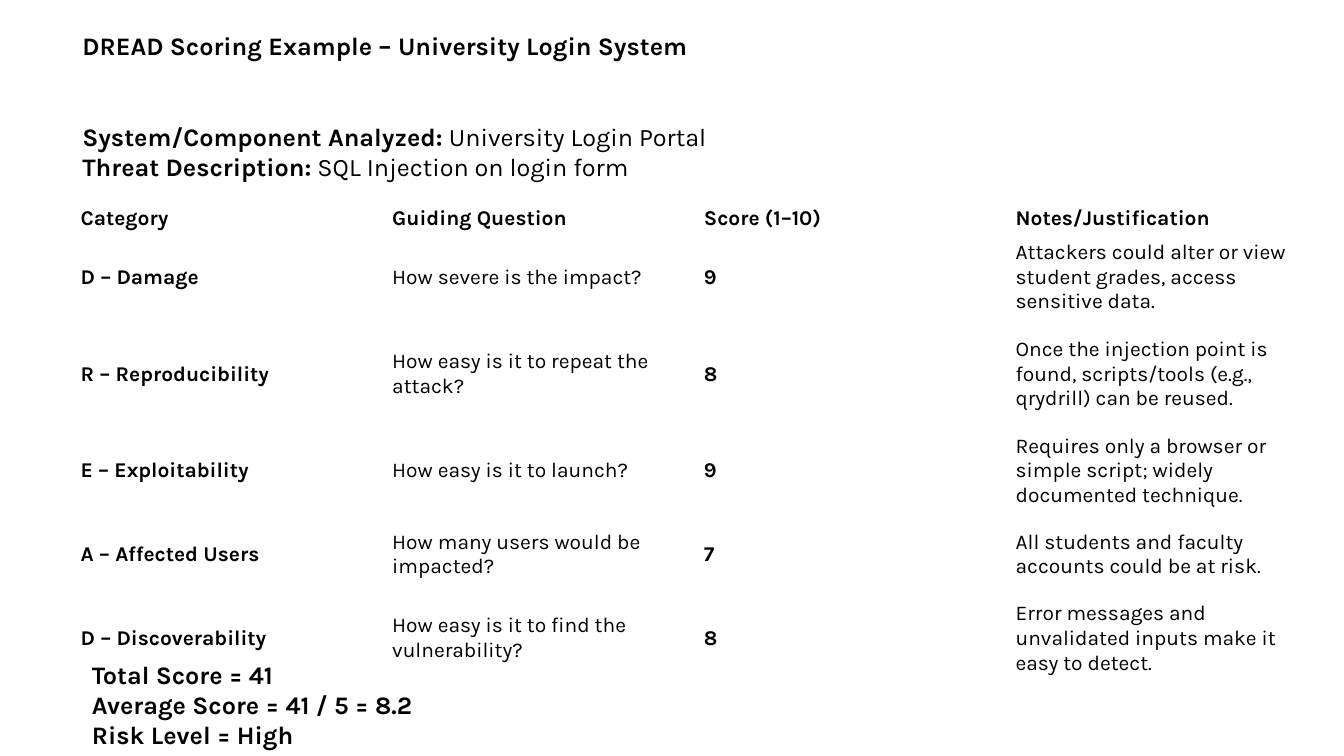
from dataclasses import dataclass
from typing import NamedTuple

from lxml.etree import SubElement
from pptx import Presentation
from pptx.dml.color import RGBColor
from pptx.enum.text import MSO_ANCHOR as Anchor, MSO_AUTO_SIZE as AutoSize, PP_ALIGN as Align
from pptx.oxml.ns import qn
from pptx.util import Cm, Pt


@dataclass(frozen=True)
class Theme:
    font: str = "Karla"
    ink: RGBColor = RGBColor(0, 0, 0)
    paper: RGBColor = RGBColor(255, 255, 255)
    heading_size: int = 18
    table_size: int = 15
    plain_table_style: str = "{2D5ABB26-0587-4C30-8999-92F81FD0307C}"


class Area(NamedTuple):
    left: float
    top: float
    width: float
    height: float


class Threat(NamedTuple):
    category: str
    question: str
    score: int
    notes: str
    row_height: float = 2.11


class Line(NamedTuple):
    strong: str
    plain: str = ""


THEME = Theme()
TITLE_AREA = Area(1.82, 0.64, 29.44, 1.1)
SUBJECT_AREA = Area(1.82, 2.92, 29.44, 1.8)
TOTALS_AREA = Area(2.06, 16.48, 16.94, 2.57)
TABLE_AREA = Area(1.83, 5.08, 31.42, 12.09)
HEADER_HEIGHT = 0.85
HEADERS = ("Category", "Guiding Question", "Score (1–10)", "Notes/Justification")
BOLD_COLUMNS = (0, 2)

TITLE = [Line("DREAD Scoring Example – University Login System")]
SUBJECT = [
    Line("System/Component Analyzed:", " University Login Portal"),
    Line("Threat Description:", " SQL Injection on login form"),
]
TOTALS = [
    Line("Total Score = 41"),
    Line("Average Score = 41 / 5 = 8.2"),
    Line("Risk Level = High"),
]
THREATS = [
    Threat("D – Damage", "How severe is the impact?", 9,
           "Attackers could alter or view student grades, access sensitive data."),
    Threat("R – Reproducibility", "How easy is it to repeat the attack?", 8,
           "Once the injection point is found, scripts/tools (e.g., qrydrill) can be reused.", 2.77),
    Threat("E – Exploitability", "How easy is it to launch?", 9,
           "Requires only a browser or simple script; widely documented technique."),
    Threat("A – Affected Users", "How many users would be impacted?", 7,
           "All students and faculty accounts could be at risk."),
    Threat("D – Discoverability", "How easy is it to find the vulnerability?", 8,
           "Error messages and unvalidated inputs make it easy to detect."),
]


def add_text(para, text: str, *, size: int = THEME.heading_size, bold: bool = False) -> None:
    span = para.add_run()
    span.text = text
    span.font.name = THEME.font
    span.font.size = Pt(size)
    span.font.bold = bold
    span.font.color.rgb = THEME.ink


def fill_placeholder(box, area: Area, lines: list[Line]) -> None:
    box.left, box.top, box.width, box.height = map(Cm, area)
    frame = box.text_frame
    frame.word_wrap = True
    frame.auto_size = AutoSize.NONE
    frame.vertical_anchor = Anchor.TOP
    for index, line in enumerate(lines):
        para = frame.add_paragraph() if index else frame.paragraphs[0]
        para.alignment = Align.LEFT
        para.space_before = Pt(0)
        properties = para._p.get_or_add_pPr()
        properties.set("marL", "0")
        properties.set("indent", "0")
        SubElement(properties, qn("a:buNone"))
        add_text(para, line.strong, bold=True)
        if line.plain:
            add_text(para, line.plain)


def fill_cell(cell, text: str, bold: bool) -> None:
    cell.fill.background()
    cell.vertical_anchor = Anchor.MIDDLE
    cell.margin_left = cell.margin_right = Cm(0.2)
    cell.margin_top = cell.margin_bottom = Cm(0.1)
    add_text(cell.text_frame.paragraphs[0], text, size=THEME.table_size, bold=bold)


def add_score_table(page, threats: list[Threat]) -> None:
    frame = page.shapes.add_table(len(threats) + 1, len(HEADERS), *map(Cm, TABLE_AREA))
    table = frame.table
    table.first_row = table.horz_banding = False
    table._tbl.tblPr.find(qn("a:tableStyleId")).text = THEME.plain_table_style
    for column in table.columns:
        column.width = Cm(TABLE_AREA.width / len(HEADERS))
    table.rows[0].height = Cm(HEADER_HEIGHT)
    for column, header in enumerate(HEADERS):
        fill_cell(table.cell(0, column), header, True)
    for row, threat in enumerate(threats, start=1):
        table.rows[row].height = Cm(threat.row_height)
        for column, value in enumerate(threat[:len(HEADERS)]):
            fill_cell(table.cell(row, column), str(value), column in BOLD_COLUMNS)


def main() -> None:
    deck = Presentation()
    deck.slide_width, deck.slide_height = Cm(33.87), Cm(19.05)
    page = deck.slides.add_slide(deck.slide_layouts.get_by_name("Two Content"))
    page.background.fill.solid()
    page.background.fill.fore_color.rgb = THEME.paper
    title, subject, totals = page.placeholders
    fill_placeholder(title, TITLE_AREA, TITLE)
    fill_placeholder(subject, SUBJECT_AREA, SUBJECT)
    add_score_table(page, THREATS)
    fill_placeholder(totals, TOTALS_AREA, TOTALS)
    page.shapes._spTree.append(totals._element)
    deck.save("out.pptx")


if __name__ == "__main__":
    main()
